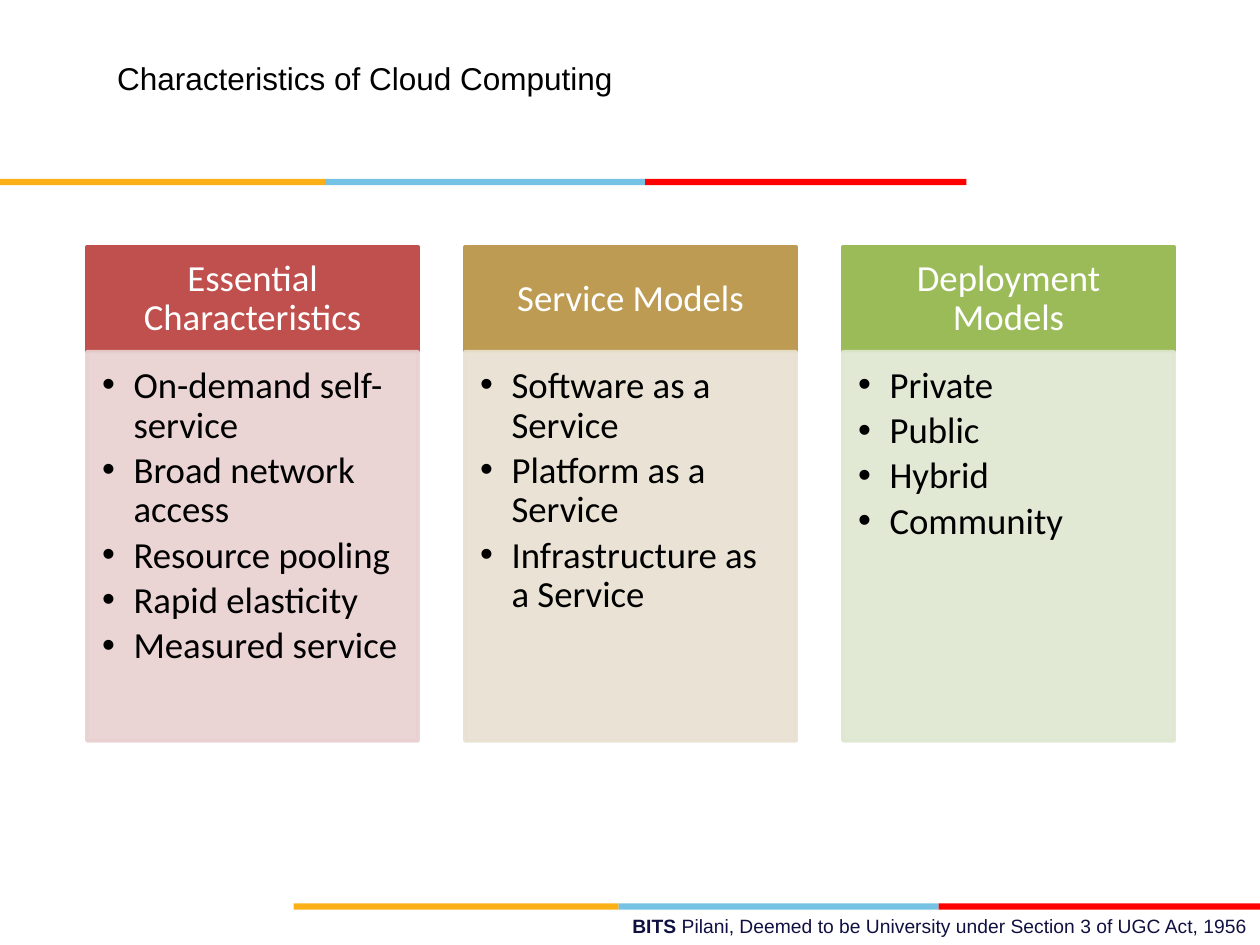
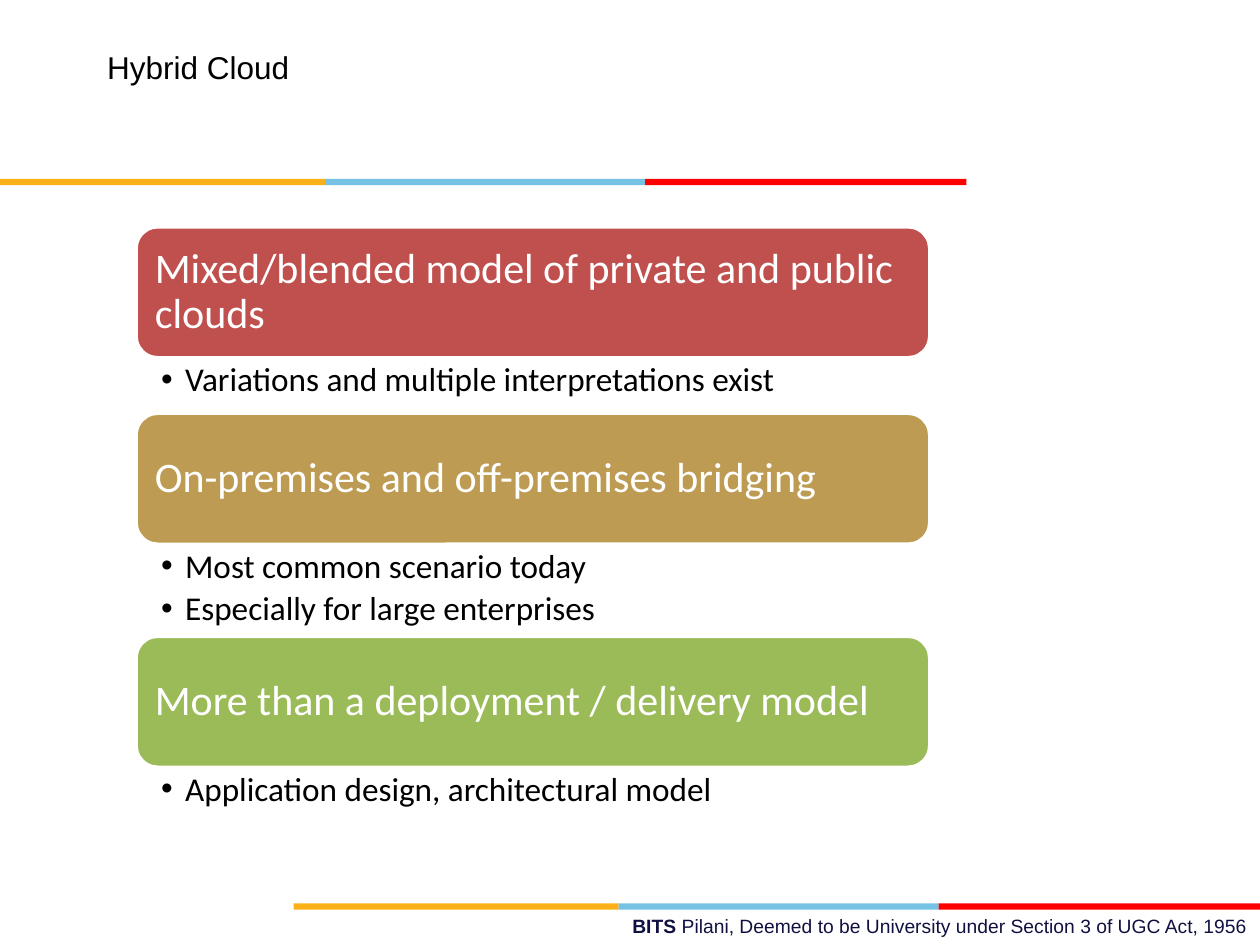
from typing import NamedTuple

from lxml.etree import SubElement
from pptx import Presentation
from pptx.dml.color import RGBColor
from pptx.enum.shapes import MSO_SHAPE as Kind
from pptx.enum.text import MSO_ANCHOR as Anchor, PP_ALIGN as Align
from pptx.oxml.ns import qn
from pptx.util import Inches, Pt

HUES = {
    "amber": "FCB017", "sky": "76C2E5", "scarlet": "FF0000",
    "navy": "101141", "black": "000000", "white": "FFFFFF",
    "red": "C0504D", "gold": "BD9B53", "green": "9BBB59",
    "red tint": "E8D0D0", "gold tint": "E8E1D1", "green tint": "DEE7D1",
}


class Box(NamedTuple):
    left: float
    top: float
    width: float
    height: float


class Style(NamedTuple):
    size: int
    hue: str
    after: float
    pads: tuple
    align: Align = Align.LEFT
    anchor: Anchor = Anchor.TOP
    indent: float = 0


class Group(NamedTuple):
    hue: str
    head: str
    items: list


BANDS = [("amber", 2.58), ("sky", 2.54), ("scarlet", 2.55)]

CARD_HEAD = Style(21, "white", 0.35, (0.16, 0.09, 0.16, 0.09),
                  Align.CENTER, Anchor.MIDDLE)
CARD_LIST = Style(21, "black", 0.15, (0.12, 0.12, 0.16, 0.18), indent=0.25)
BAR_HEAD = Style(24, "white", 0.35, (0.1, 0.1, 0.1, 0.1),
                 anchor=Anchor.MIDDLE)
BAR_LIST = Style(19, "black", 0.2, (0.2, 0.03, 0.19, 0.03), indent=0.19)

CARDS = [
    Group("red", "Essential Characteristics",
          ["On-demand self-service", "Broad network access",
           "Resource pooling", "Rapid elasticity", "Measured service"]),
    Group("gold", "Service Models",
          ["Software as a Service", "Platform as a Service",
           "Infrastructure as a Service"]),
    Group("green", "Deployment Models",
          ["Private", "Public", "Hybrid", "Community"]),
]
BARS = [
    Group("red", "Mixed/blended model of private and public clouds",
          ["Variations and multiple interpretations exist"]),
    Group("gold", "On-premises and off-premises bridging",
          ["Most common scenario today", "Especially for large enterprises"]),
    Group("green", "More than a deployment / delivery model",
          ["Application design, architectural model"]),
]


def rgb(hue: str) -> RGBColor:
    return RGBColor.from_string(HUES[hue])


def span(box: Box) -> list:
    return [Inches(side) for side in box]


def block(slide, kind, box: Box, hue: str, edge: str = "", alpha: int = 100):
    shape = slide.shapes.add_shape(kind, *span(box))
    shape.shadow.inherit = False
    shape.fill.solid()
    shape.fill.fore_color.rgb = rgb(hue)
    if edge:
        shape.line.color.rgb = rgb(edge)
        shape.line.width = Pt(2)
    else:
        shape.line.fill.background()
    if alpha < 100:
        for tone in shape._element.spPr.iter(qn("a:srgbClr")):
            SubElement(tone, qn("a:alpha"), val=str(alpha * 1000))
    return shape


def dress(run, font: str, size: int, hue: str, bold: bool = False) -> None:
    run.font.name = font
    run.font.size = Pt(size)
    run.font.bold = bold
    run.font.color.rgb = rgb(hue)


def bullet(para, indent: float) -> None:
    para.level = 1
    props = para._p.get_or_add_pPr()
    props.set("marL", str(Inches(indent)))
    props.set("indent", str(-Inches(indent)))
    SubElement(props, qn("a:buFont"), typeface="Arial")
    SubElement(props, qn("a:buChar"), char="•")


def write(shape, lines: list, style: Style) -> None:
    frame = shape.text_frame
    frame.word_wrap = True
    frame.vertical_anchor = style.anchor
    (frame.margin_left, frame.margin_top,
     frame.margin_right, frame.margin_bottom) = map(Inches, style.pads)
    frame.text = "\n".join(lines)
    for para in frame.paragraphs:
        if style.indent:
            bullet(para, style.indent)
        para.alignment = style.align
        para.line_spacing = 0.9
        para.space_after = Pt(style.size * style.after)
        dress(para.runs[0], "Calibri", style.size, style.hue)


def stripe(slide, left: float, top: float) -> None:
    for hue, width in BANDS:
        block(slide, Kind.RECTANGLE, Box(left, top, width, 0.05), hue)
        left += width


def footer(slide) -> None:
    note = slide.shapes.add_textbox(*span(Box(3.58, 7.21, 6.42, 0.29)))
    note.text_frame.word_wrap = True
    para = note.text_frame.paragraphs[0]
    para.alignment = Align.RIGHT
    for text, bold in [
        ("BITS ", True),
        ("Pilani, Deemed to be University under Section 3 of UGC Act, 1956",
         False),
    ]:
        run = para.add_run()
        run.text = text
        dress(run, "Arial", 11, "navy", bold)


def start(deck, text: str, left: float, top: float):
    slide = deck.slides.add_slide(deck.slide_layouts[5])
    stripe(slide, 0, 1.42)
    stripe(slide, 2.33, 7.17)
    footer(slide)
    title = slide.shapes.title
    title.left, title.top, title.width, title.height = span(
        Box(left, top, 5, 0.4))
    frame = title.text_frame
    frame.text = text
    frame.vertical_anchor = Anchor.TOP
    frame.paragraphs[0].alignment = Align.LEFT
    dress(frame.paragraphs[0].runs[0], "Arial", 18, "black")
    return slide


def traits(deck) -> None:
    slide = start(deck, "Characteristics of Cloud Computing", 0.83, 0.42)
    for col, card in enumerate(CARDS):
        left = 0.69 + col * 3
        head = block(slide, Kind.RECTANGLE, Box(left, 1.96, 2.63, 0.83),
                     card.hue, card.hue)
        write(head, [card.head], CARD_HEAD)
        tint = f"{card.hue} tint"
        body = block(slide, Kind.RECTANGLE, Box(left, 2.79, 2.63, 3.09),
                     tint, tint, 90)
        write(body, card.items, CARD_LIST)


def hybrid(deck) -> None:
    slide = start(deck, "Hybrid Cloud", 0.75, 0.33)
    left, top, width = 1.08, 1.8, 6.3
    for bar in BARS:
        head = block(slide, Kind.ROUNDED_RECTANGLE,
                     Box(left, top, width, 1.04), bar.hue, "white")
        write(head, [bar.head], BAR_HEAD)
        top += 1.05
        height = 0.43 + 0.29 * (len(bar.items) - 1)
        body = slide.shapes.add_textbox(*span(Box(left, top, width, height)))
        write(body, bar.items, BAR_LIST)
        top += height


def main() -> None:
    deck = Presentation()
    deck.slide_width, deck.slide_height = Inches(10), Inches(7.5)
    traits(deck)
    hybrid(deck)
    deck.save("out.pptx")


if __name__ == "__main__":
    main()
